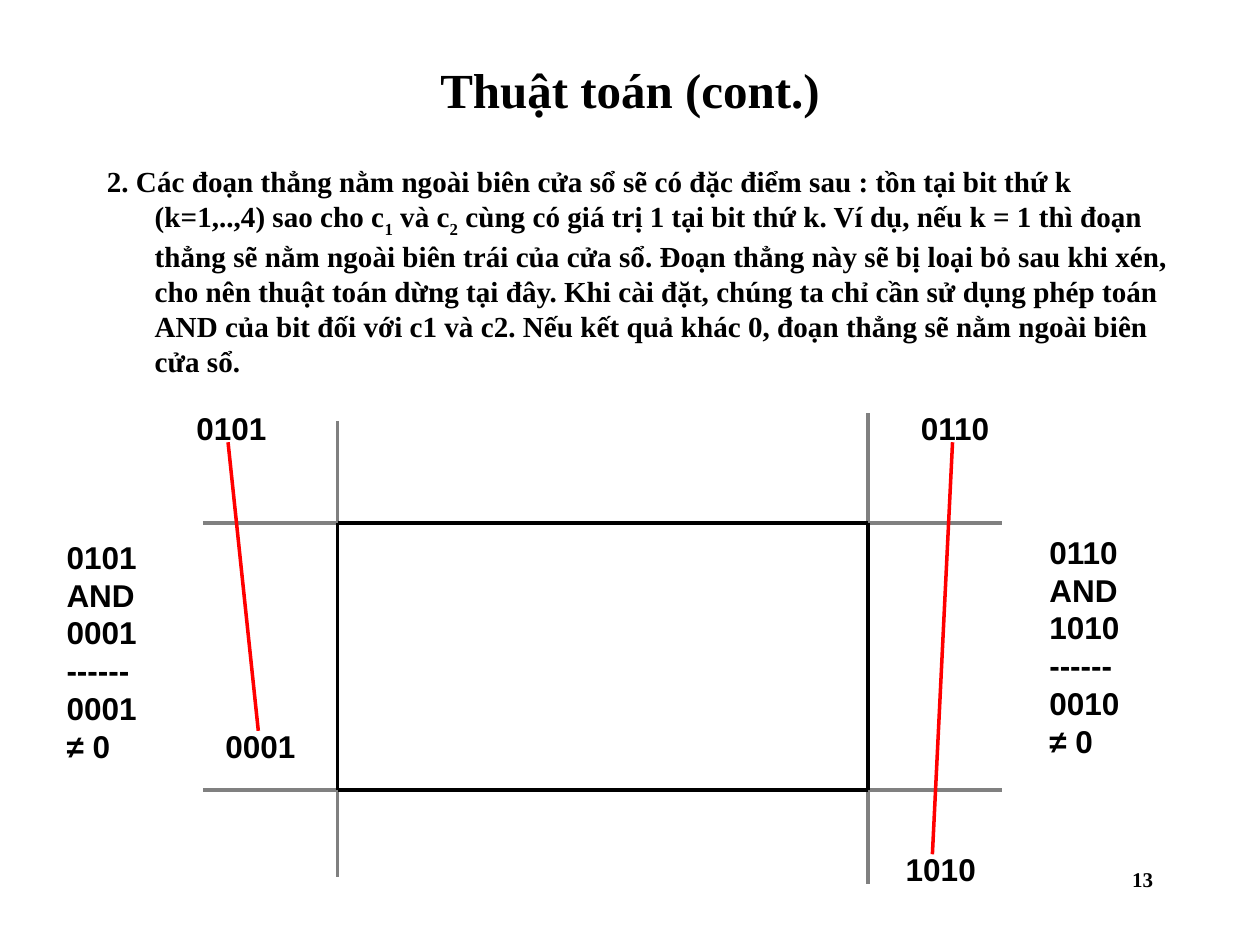
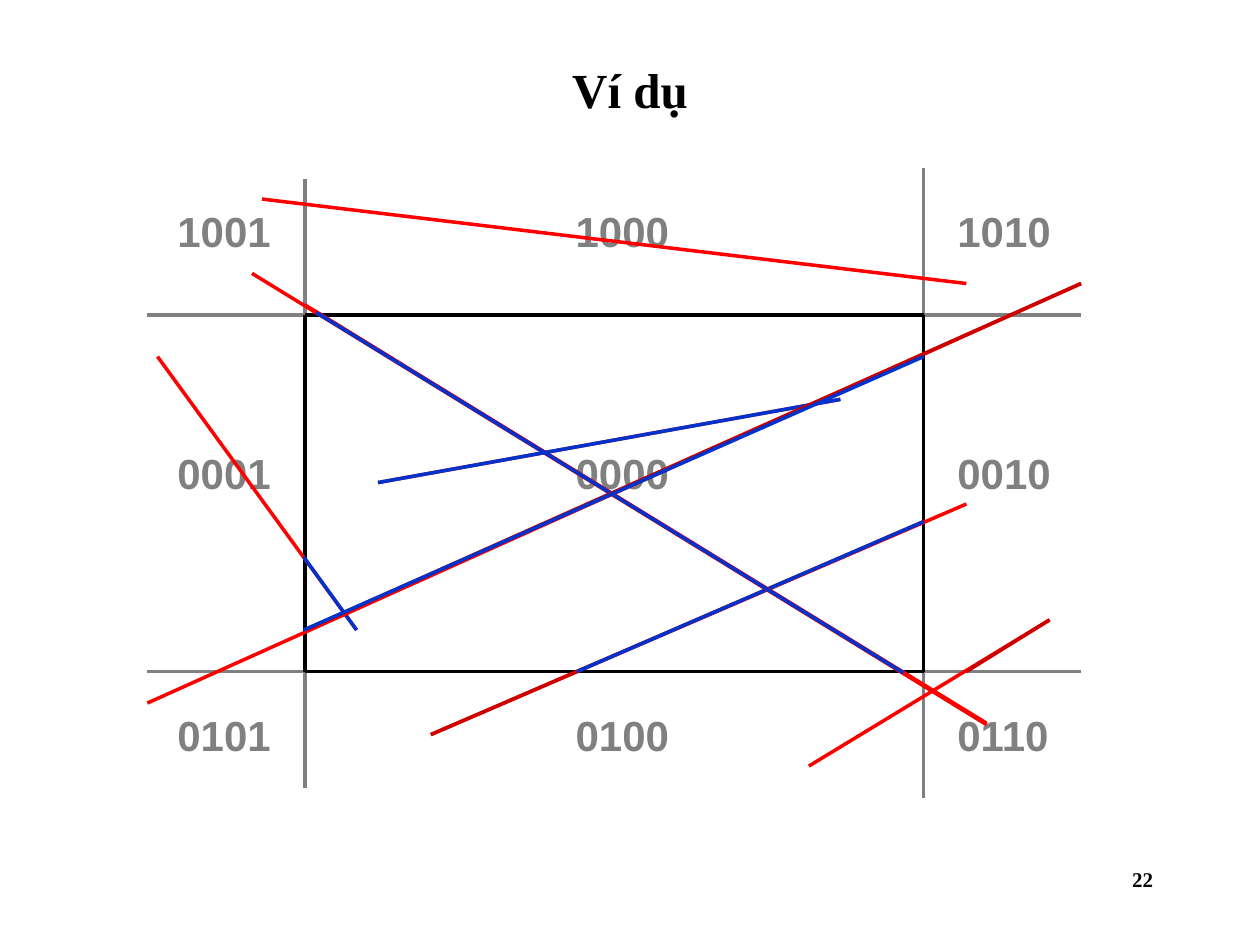
"""Build two slides on line clipping with region codes."""
from dataclasses import dataclass
from itertools import product

from lxml.etree import SubElement
from pptx import Presentation
from pptx.dml.color import RGBColor as Rgb
from pptx.enum.text import MSO_ANCHOR as Anchor, MSO_AUTO_SIZE as Fit, PP_ALIGN as Align
from pptx.oxml.ns import qn
from pptx.util import Pt

SCALE = 9144
HUES = {
    "black": "000000",
    "gray": "808080",
    "red": "FF0000",
    "dark": "CC0000",
    "blue": "0033CC",
}
SERIF = "Times New Roman"
SANS = "Arial"


@dataclass(frozen=True)
class Box:
    left: int
    top: int
    width: int
    height: int


@dataclass(frozen=True)
class Font:
    name: str
    size: float
    hue: str = "black"


@dataclass(frozen=True)
class Line:
    x1: int
    y1: int
    x2: int
    y2: int
    hue: str = "red"


@dataclass(frozen=True)
class Frame:
    left: int
    top: int
    right: int
    foot: int
    span: tuple[int, int]
    near: tuple[int, int]
    far: tuple[int, int]


@dataclass(frozen=True)
class Case:
    start: str
    end: str
    mask: str
    from_at: tuple[int, int]
    to_at: tuple[int, int]
    sum_at: tuple[int, int]
    line: Line


HEAD = Font(SERIF, 28)
BODY = Font(SERIF, 16.65)
FOOT = Font(SERIF, 12)
CODE = Font(SANS, 18)
ZONE = Font(SANS, 24, "gray")
CODE_WIDTH = 77

RULE = (
    ("2. Các đoạn thẳng nằm ngoài biên cửa sổ sẽ có đặc điểm sau : tồn tại bit thứ k "
     "(k=1,..,4) sao cho c", False),
    ("1", True),
    (" và c", False),
    ("2", True),
    (" cùng có giá trị 1 tại bit thứ k. Ví dụ, nếu k = 1 thì đoạn thẳng sẽ nằm ngoài "
     "biên trái của cửa sổ. Đoạn thẳng này sẽ bị loại bỏ sau khi xén, cho nên thuật toán "
     "dừng tại đây. Khi cài đặt, chúng ta chỉ cần sử dụng phép toán AND của bit đối với "
     "c1 và c2. Nếu kết quả khác 0, đoạn thẳng sẽ nằm ngoài biên cửa sổ.", False),
)
CASES = (
    Case("0101", "0001", "0001", (146, 320), (169, 572), (43, 422),
         Line(181, 351, 205, 580)),
    Case("0110", "1010", "0010", (721, 320), (709, 670), (823, 418),
         Line(756, 351, 740, 678)),
)
SMALL = Frame(268, 415, 689, 627, (161, 795), (334, 696), (328, 702))
LARGE = Frame(242, 250, 733, 533, (117, 858), (142, 625), (133, 633))
ROWS = (("10", 158), ("00", 350), ("01", 558))
COLS = (("01", 131), ("00", 447), ("10", 750))
CUTS = (
    Line(300, 383, 667, 317),
    Line(208, 158, 767, 225),
    Line(125, 283, 283, 500),
    Line(342, 583, 767, 400),
    Line(642, 608, 833, 492),
    Line(241, 442, 283, 500, "blue"),
    Line(342, 583, 733, 414, "dark"),
    Line(458, 533, 733, 414, "blue"),
    Line(767, 533, 833, 492, "dark"),
    Line(200, 217, 783, 575),
    Line(242, 242, 783, 575),
    Line(250, 247, 783, 574),
    Line(250, 247, 733, 544),
    Line(251, 248, 717, 534, "blue"),
    Line(300, 383, 667, 317, "blue"),
    Line(117, 558, 858, 225),
    Line(242, 500, 858, 225, "dark"),
    Line(241, 500, 733, 283, "blue"),
)


def px(size: int) -> int:
    """Turn px into EMU."""
    return size * SCALE


def add_run(para, text: str, font: Font, sub: bool = False) -> None:
    """Add one bold run, lowered if sub is set."""
    run = para.add_run()
    run.text = text
    face = run.font
    face.name, face.size, face.bold = font.name, Pt(font.size), True
    face.color.rgb = Rgb.from_string(HUES[font.hue])
    if sub:
        face._element.set("baseline", "-25000")


def add_box(shapes, box: Box, wrap: bool = True):
    """Add an empty text box and return its frame."""
    frame = shapes.add_textbox(
        px(box.left), px(box.top), px(box.width), px(box.height)).text_frame
    frame.word_wrap = wrap
    frame.auto_size = Fit.NONE if wrap else Fit.SHAPE_TO_FIT_TEXT
    return frame


def add_code(shapes, box: Box, lines: tuple[str, ...], font: Font) -> None:
    """Add a label with one paragraph for each line."""
    frame = add_box(shapes, box, wrap=False)
    for spot, text in enumerate(lines):
        para = frame.add_paragraph() if spot else frame.paragraphs[0]
        add_run(para, text, font)


def add_line(shapes, line: Line) -> None:
    """Draw a straight line without a shadow."""
    link = shapes.add_connector(
        1, px(line.x1), px(line.y1), px(line.x2), px(line.y2))
    link.line.width = Pt(2)
    link.line.color.rgb = Rgb.from_string(HUES[line.hue])
    SubElement(link._element.spPr, qn("a:effectLst"))


def add_frame(slide, frame: Frame) -> None:
    """Draw the gray grid and the black clip window as a group."""
    shapes = slide.shapes.add_group_shape().shapes
    left, top, right, foot = frame.left, frame.top, frame.right, frame.foot
    for x, (start, end) in ((left, frame.near), (right, frame.far)):
        add_line(shapes, Line(x, start, x, end, "gray"))
    for y in (top, foot):
        add_line(shapes, Line(frame.span[0], y, frame.span[1], y, "gray"))
    for x in (left, right):
        add_line(shapes, Line(x, top, x, foot, "black"))
    for y in (top, foot):
        add_line(shapes, Line(left, y, right, y, "black"))


def add_slide(deck, title: str, number: int):
    """Add a slide with its title and page number."""
    slide = deck.slides.add_slide(deck.slide_layouts[5])
    head = slide.shapes.title
    head.left, head.top, head.width, head.height = map(px, (75, 33, 850, 75))
    frame = head.text_frame
    frame.auto_size, frame.vertical_anchor = Fit.NONE, Anchor.MIDDLE
    frame.paragraphs[0].alignment = Align.CENTER
    add_run(frame.paragraphs[0], title, HEAD)
    para = add_box(slide.shapes, Box(717, 683, 208, 50)).paragraphs[0]
    para.alignment = Align.RIGHT
    add_run(para, str(number), FOOT)
    return slide


def add_rule(slide) -> None:
    """Add the body text with a hanging indent."""
    para = add_box(slide.shapes, Box(75, 125, 870, 191)).paragraphs[0]
    para.space_before = Pt(4.5)
    props = para._p.get_or_add_pPr()
    props.set("marL", str(px(38)))
    props.set("indent", str(px(-38)))
    for text, sub in RULE:
        add_run(para, text, BODY, sub)


def add_case(slide, case: Case) -> None:
    """Draw a rejected line, its end codes and its AND sum."""
    shapes = slide.shapes.add_group_shape().shapes
    for text, spot in ((case.start, case.from_at), (case.end, case.to_at)):
        add_code(shapes, Box(*spot, CODE_WIDTH, 40), (text,), CODE)
    add_line(shapes, case.line)
    steps = (case.start, "AND", case.end, "------", case.mask, "≠ 0")
    add_code(slide.shapes, Box(*case.sum_at, CODE_WIDTH, 190), steps, CODE)


def main() -> None:
    """Build and save the deck."""
    deck = Presentation()
    deck.slide_width, deck.slide_height = px(1000), px(750)

    slide = add_slide(deck, "Thuật toán (cont.)", 13)
    add_rule(slide)
    add_frame(slide, SMALL)
    for case in CASES:
        add_case(slide, case)

    slide = add_slide(deck, "Ví dụ", 22)
    add_frame(slide, LARGE)
    for (high, top), (low, left) in product(ROWS, COLS):
        add_code(slide.shapes, Box(left, top, 94, 50), (high + low,), ZONE)
    for line in CUTS:
        add_line(slide.shapes, line)

    deck.save("out.pptx")


if __name__ == "__main__":
    main()
